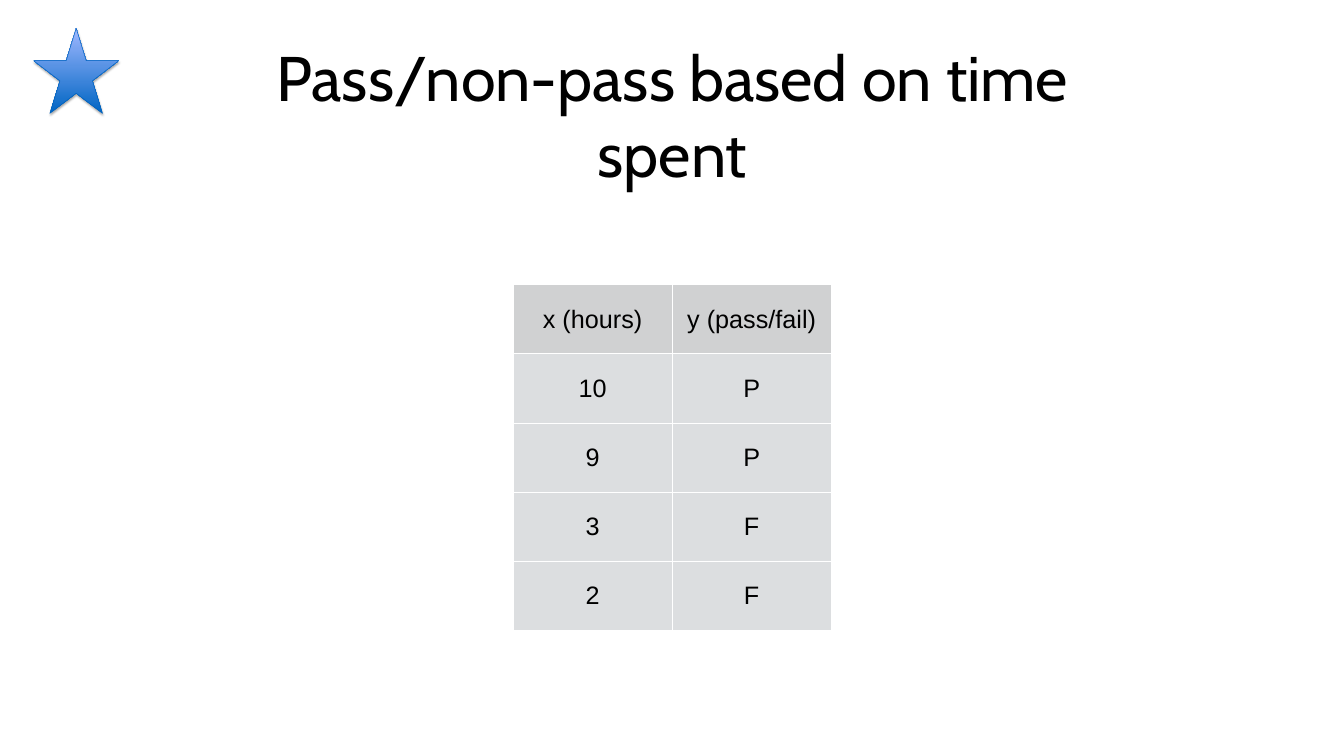
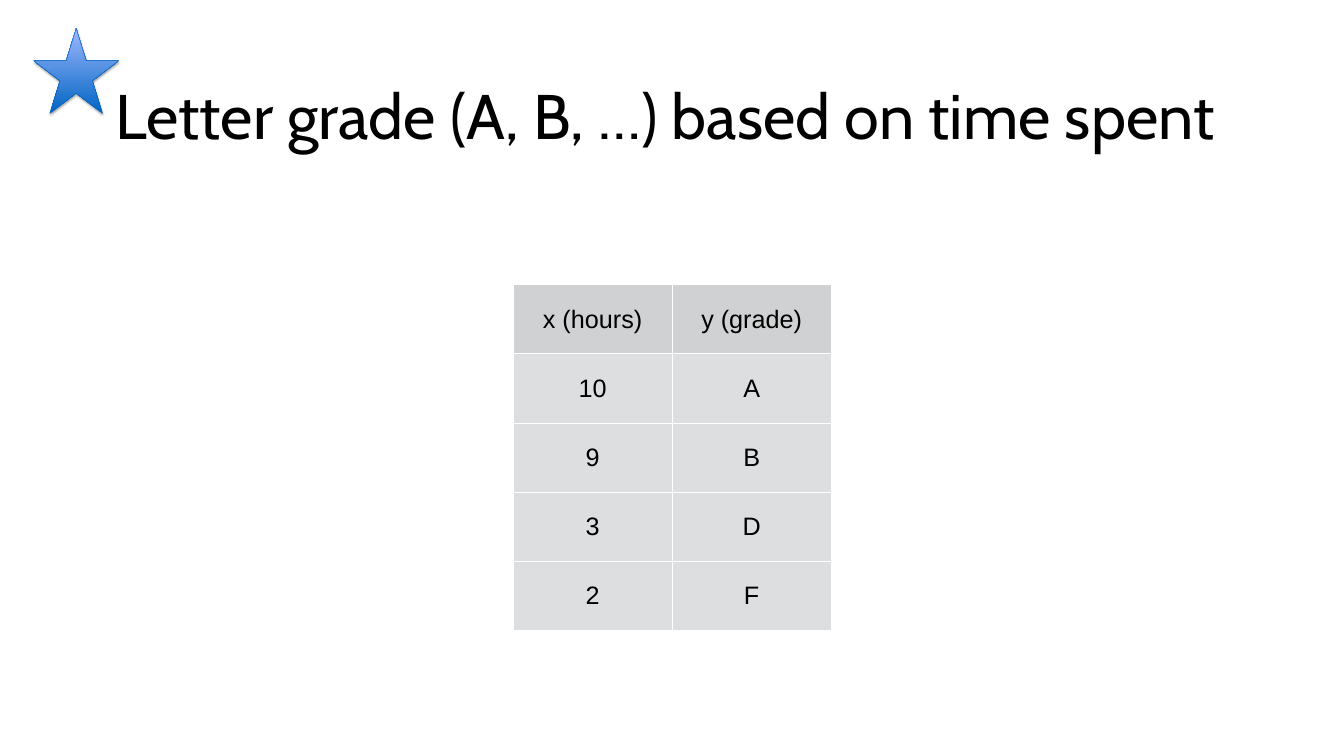
from lxml.etree import SubElement as Sub
from pptx import Presentation
from pptx.dml.color import RGBColor as RGB
from pptx.enum.shapes import MSO_SHAPE as Shape
from pptx.enum.text import MSO_ANCHOR as Anchor, PP_ALIGN as Align
from pptx.oxml.ns import qn
from pptx.util import Pt

BLACK = RGB(0x00, 0x00, 0x00)
WHITE = RGB(0xFF, 0xFF, 0xFF)
HEAD = RGB(0xD0, 0xD1, 0xD2)
BODY = RGB(0xDC, 0xDE, 0xE0)
DEEP = RGB(0x00, 0x65, 0xC3)
PALE = RGB(0xA0, 0xB8, 0xFF)
EDGE = RGB(0x00, 0x63, 0xBF)

WIDE, HIGH = 1920, 1080
GRID = (733, 406.8, 454.4, 493.2)
STAR = (48, 40.3, 121.7, 121.7)

SLIDES = [
    ("Pass/non-pass based on time spent", (303, 28, 1315, 270),
     [("x (hours)", "y (pass/fail)"),
      ("10", "P"), ("9", "P"), ("3", "F"), ("2", "F")]),
    ("Letter grade (A, B, …) based on time spent ", (-1.5, 28, 1923, 270),
     [("x (hours)", "y (grade)"),
      ("10", "A"), ("9", "B"), ("3", "D"), ("2", "F")]),
]


def points(box):
    return [Pt(n) for n in box]


def write(frame, text, font="Arial", size=36, color=BLACK, align=Align.CENTER):
    para = frame.paragraphs[0]
    para.alignment = align
    run = para.add_run()
    run.text = text
    run.font.name = font
    run.font.size = Pt(size)
    run.font.color.rgb = color


def add_title(slide, box, text):
    frame = slide.shapes.add_textbox(*points(box)).text_frame
    frame.word_wrap = True
    frame.vertical_anchor = Anchor.MIDDLE
    frame.margin_left = frame.margin_right = Pt(5.6)
    frame.margin_top = frame.margin_bottom = Pt(5.6)
    write(frame, text, font="Cabin", size=90)


def add_rules(cell, color=WHITE, width=1):
    props = cell._tc.get_or_add_tcPr()
    for side in "LRTB":
        line = Sub(props, qn(f"a:ln{side}"), w=str(Pt(width)))
        fill = Sub(line, qn("a:solidFill"))
        Sub(fill, qn("a:srgbClr"), val=str(color))


def add_grid(slide, box, rows):
    count, span = len(rows), len(rows[0])
    table = slide.shapes.add_table(count, span, *points(box)).table
    for col in table.columns:
        col.width = Pt(box[2] / span)
    for r, texts in enumerate(rows):
        table.rows[r].height = Pt(box[3] / count)
        for c, text in enumerate(texts):
            cell = table.cell(r, c)
            add_rules(cell)
            cell.fill.solid()
            cell.fill.fore_color.rgb = BODY if r else HEAD
            cell.vertical_anchor = Anchor.MIDDLE
            cell.margin_left = cell.margin_right = Pt(4)
            cell.margin_top = cell.margin_bottom = Pt(4)
            write(cell.text_frame, text)


def add_shade(shape, blur=3.1, drop=1.8, alpha=35):
    shape.shadow.inherit = False
    effects = shape._element.spPr.find(qn("a:effectLst"))
    shade = Sub(effects, qn("a:outerShdw"), blurRad=str(Pt(blur)),
                dist=str(Pt(drop)), dir=str(90 * 60000), rotWithShape="0")
    color = Sub(shade, qn("a:srgbClr"), val=str(BLACK))
    Sub(color, qn("a:alpha"), val=str(alpha * 1000))


def add_star(slide, box):
    star = slide.shapes.add_shape(Shape.STAR_5_POINT, *points(box))
    star.fill.gradient()
    star.fill.gradient_angle = 90
    for stop, color in zip(star.fill.gradient_stops, (DEEP, PALE)):
        stop.color.rgb = color
    star.line.color.rgb = EDGE
    star.line.width = Pt(0.75)
    add_shade(star)


def main():
    deck = Presentation()
    deck.slide_width, deck.slide_height = Pt(WIDE), Pt(HIGH)
    for title, box, rows in SLIDES:
        slide = deck.slides.add_slide(deck.slide_layouts[6])
        add_title(slide, box, title)
        add_grid(slide, GRID, rows)
        add_star(slide, STAR)
    deck.save("out.pptx")


if __name__ == "__main__":
    main()
